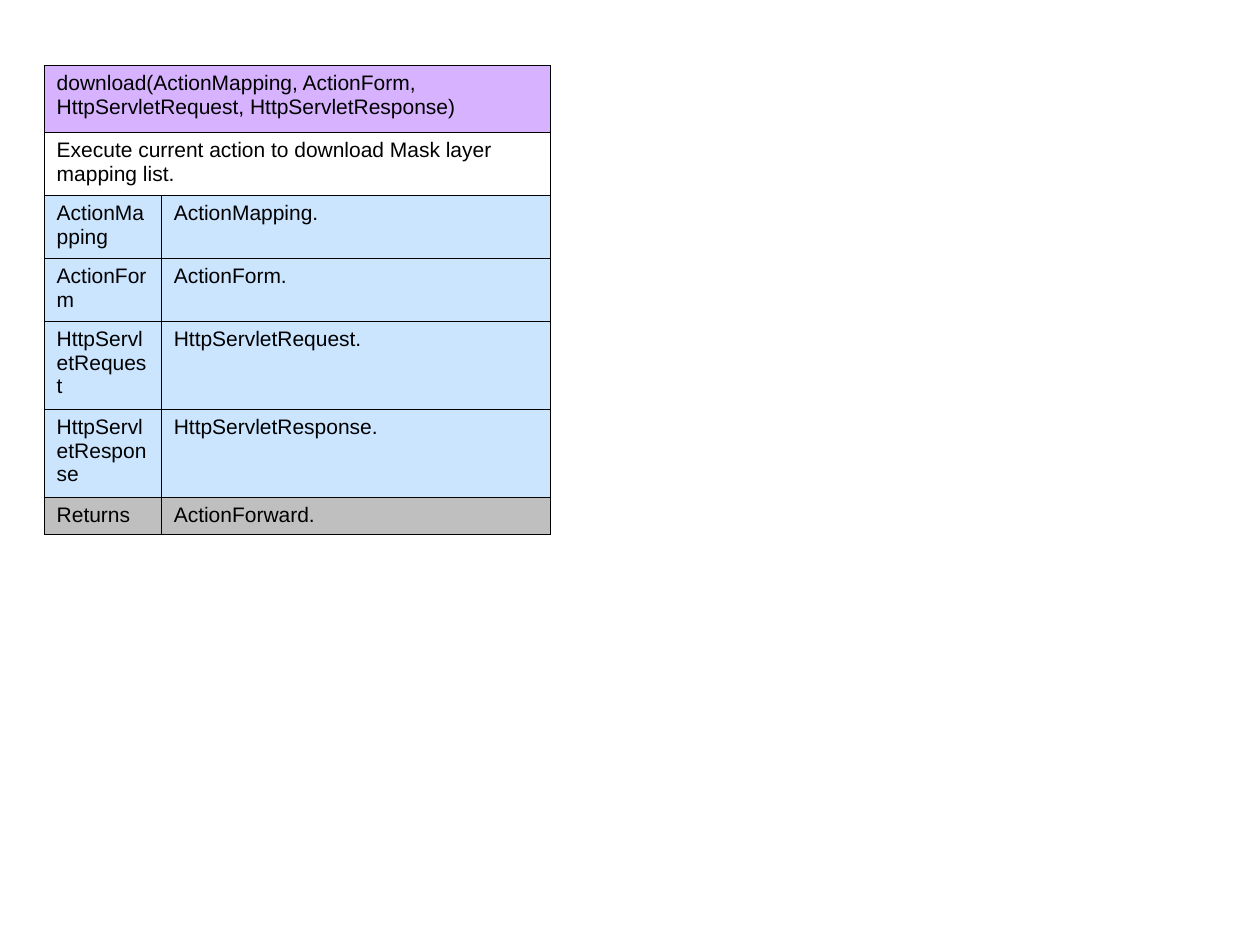
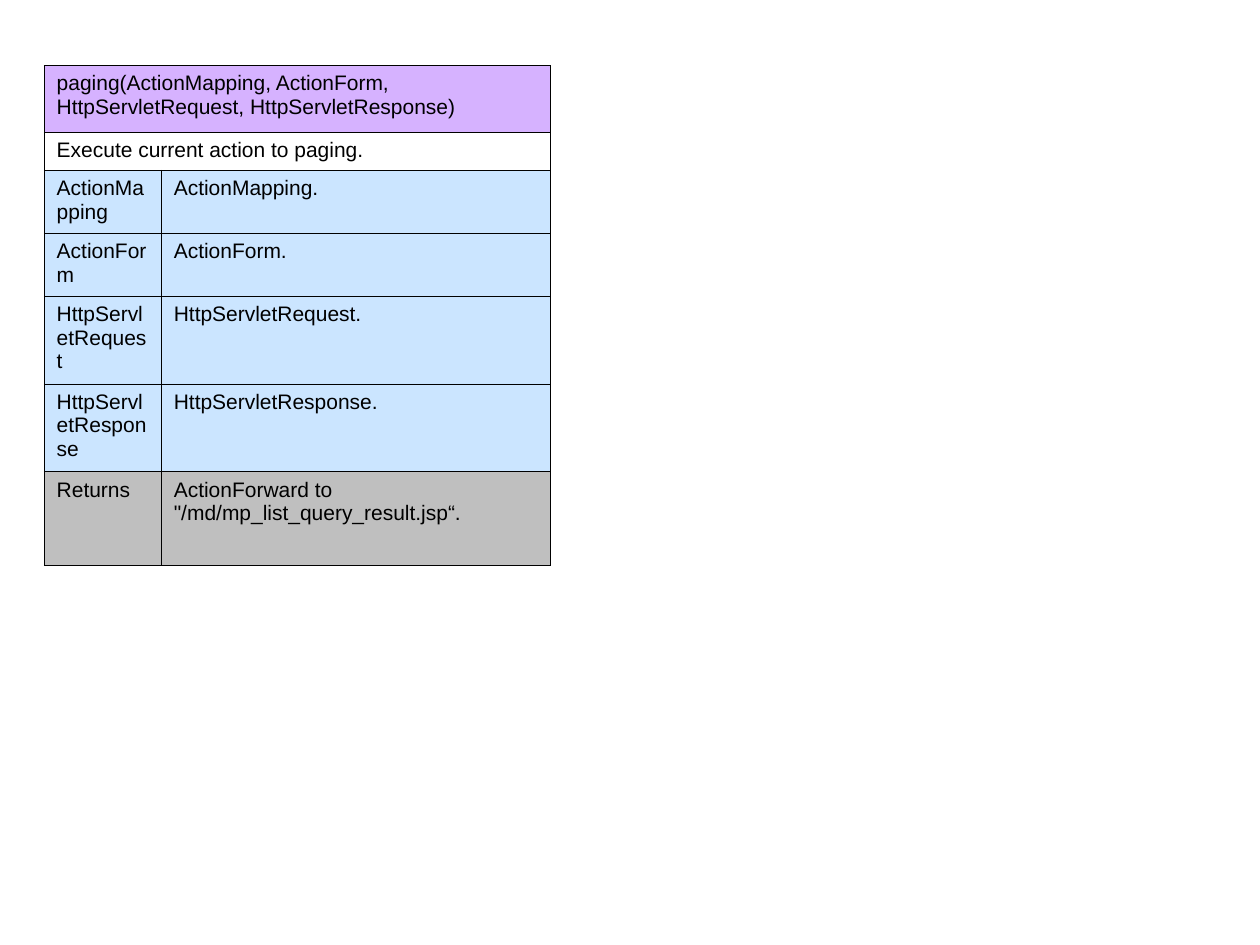
from lxml import etree
from pptx import Presentation, util as u
from pptx.dml.color import RGBColor
from pptx.oxml import ns

# Shared look
theme = {
    "head": "AF67FF",
    "param": "99CCFF",
    "back": "808080",
    "ink": "000000",
    "font": "Arial",
    "size": u.Pt(12),
    "line": u.Pt(0.45),
    "alpha": 50000,
}
cols = [2.36, 7.85]
tall = {1: 0.76, 2: 1.27, 3: 1.77}  # row height in cm by lines of text


def add(parent, tag, **attrs):
    return etree.SubElement(parent, ns.qn(tag), attrs)


def style(cell, words, fill):
    props = cell._tc.get_or_add_tcPr()
    # Borders come before the fill
    for side in "LRTB":
        line = add(props, f"a:ln{side}", w=str(int(theme["line"])))
        add(add(line, "a:solidFill"), "a:srgbClr", val=theme["ink"])
    if fill:
        cell.fill.solid()
        cell.fill.fore_color.rgb = RGBColor.from_string(theme[fill])
        tint = props.find(ns.qn("a:solidFill"))[0]
        add(tint, "a:alpha", val=str(theme["alpha"]))
    else:
        cell.fill.background()
    # Text
    para = cell.text_frame.paragraphs[0]
    if not words:
        add(para._p, "a:endParaRPr", sz=str(int(theme["size"].pt * 100)))
        return
    run = para.add_run()
    run.text = words
    for key, val in {"name": theme["font"], "size": theme["size"]}.items():
        setattr(run.font, key, val)
    run.font.color.rgb = RGBColor.from_string(theme["ink"])


# Content: method, purpose, result, heights of the purpose and result rows
params = [("ActionMapping", 2), ("ActionForm", 2),
          ("HttpServletRequest", 3), ("HttpServletResponse", 3)]
pages = [
    ("download", "Execute current action to download Mask layer mapping list.",
     "ActionForward.", tall[2], tall[1]),
    ("paging", "Execute current action to paging.",
     'ActionForward to "/md/mp_list_query_result.jsp“.', tall[1], 1.88),
]

deck = Presentation()
deck.slide_width, deck.slide_height = u.Cm(25.4), u.Cm(19.05)

for method, goal, result, mid, last in pages:
    # Rows: cell texts, fill, height
    names = ", ".join(name for name, _ in params)
    rows = [([f"{method}({names})", ""], "head", 1.35),
            ([goal, ""], None, mid)]
    rows += [([name, f"{name}."], "param", tall[n]) for name, n in params]
    rows.append((["Returns", result], "back", last))

    # Table
    slide = deck.slides.add_slide(deck.slide_layouts[6])
    high = sum(row[2] for row in rows)
    table = slide.shapes.add_table(
        len(rows), len(cols), u.Cm(0.89), u.Cm(1.32),
        u.Cm(sum(cols)), u.Cm(high)).table
    table.first_row = table.horz_banding = False
    for col, wide in zip(table.columns, cols):
        col.width = u.Cm(wide)

    # Cells
    for r, (words, fill, height) in enumerate(rows):
        table.rows[r].height = u.Cm(height)
        if not words[1]:
            table.cell(r, 0).merge(table.cell(r, 1))
        for c, word in enumerate(words):
            style(table.cell(r, c), word, fill)

deck.save("out.pptx")
